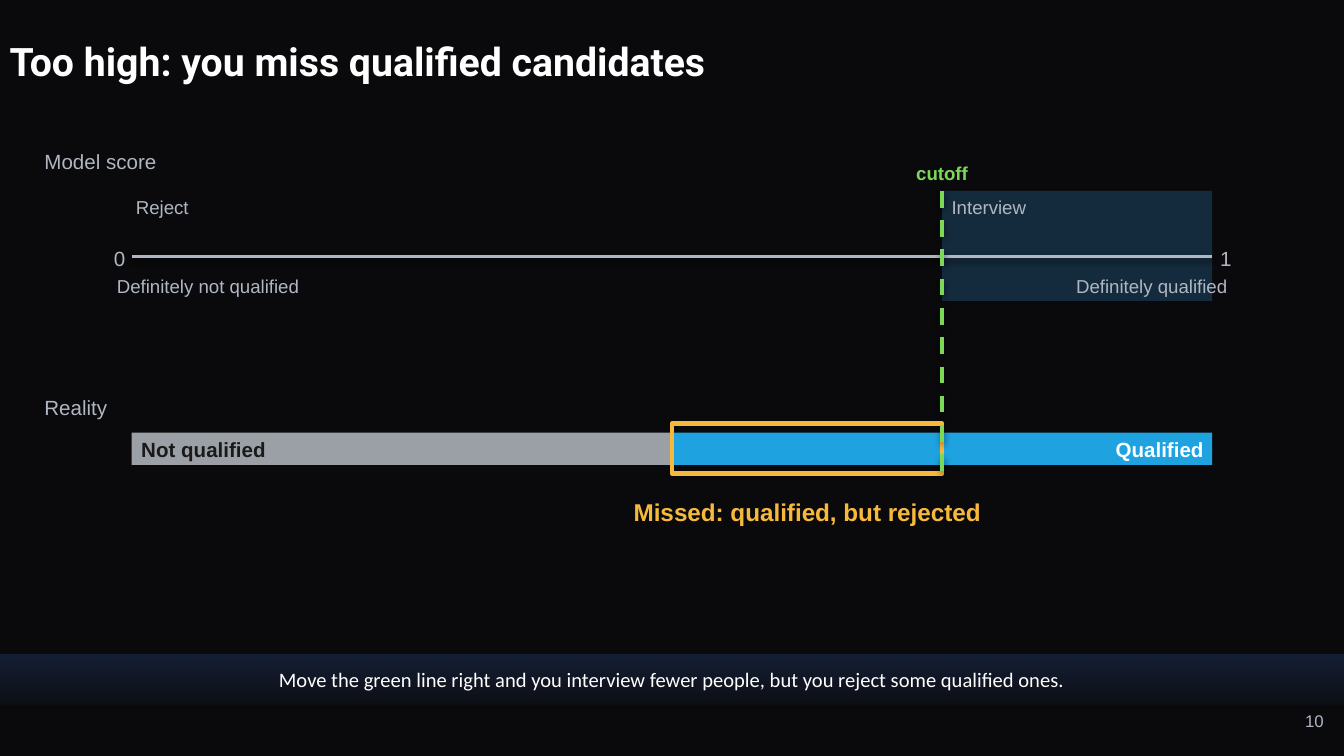
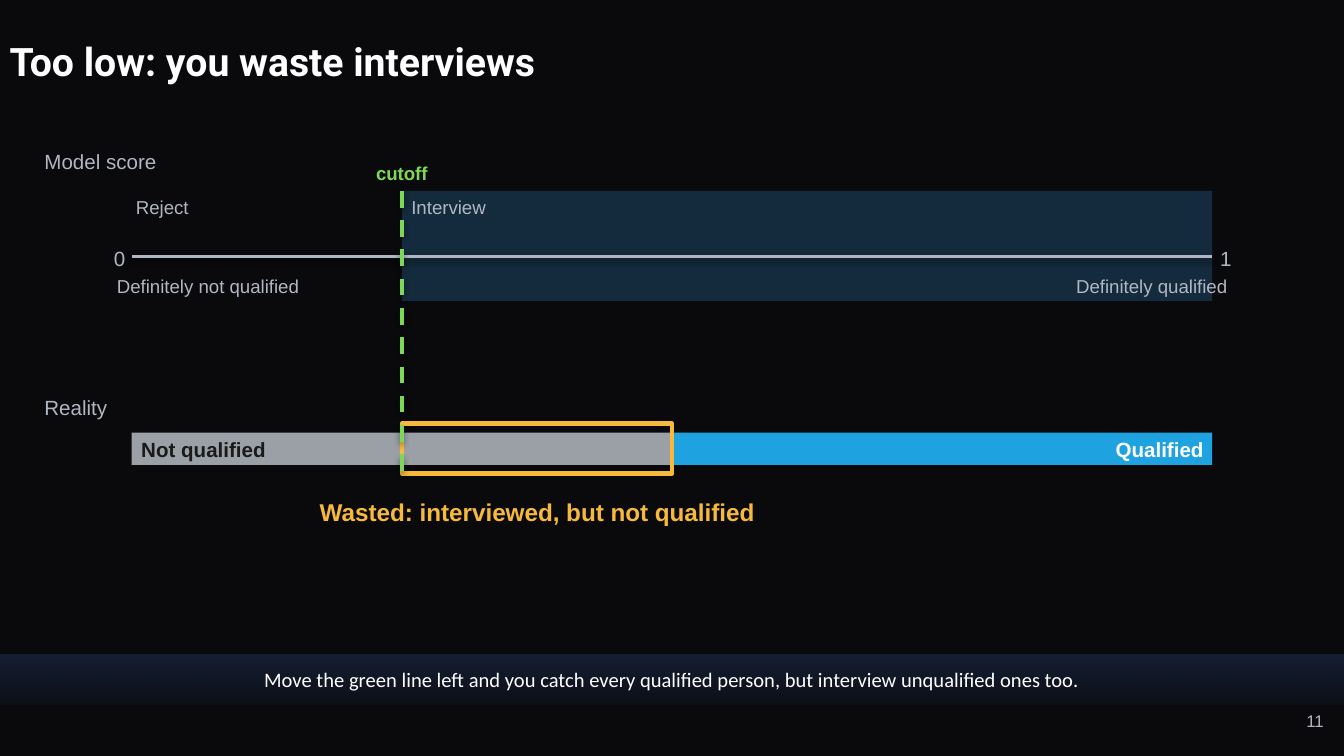
"""Two slides on how the cutoff of a hiring model trades one error for another."""
import collections

import pptx
import pptx.dml.color
import pptx.enum.dml
import pptx.enum.shapes
import pptx.enum.text
import pptx.oxml
import pptx.oxml.ns
import pptx.util

Cm, Pt = pptx.util.Cm, pptx.util.Pt
ALIGN = pptx.enum.text.PP_ALIGN
ANCHOR = pptx.enum.text.MSO_ANCHOR
AUTO_SIZE = pptx.enum.text.MSO_AUTO_SIZE
RECTANGLE = pptx.enum.shapes.MSO_SHAPE.RECTANGLE
STRAIGHT = pptx.enum.shapes.MSO_CONNECTOR.STRAIGHT

COLORS = {
    "background": "0A0A0C",
    "band": "1A2846",
    "white": "FFFFFF",
    "muted": "B0B7C3",
    "interview": "142B3D",
    "unqualified": "9AA0A6",
    "qualified": "1FA2E0",
    "dark": "1A1A1A",
    "error": "F6B93B",
    "cutoff": "7CD957",
}
MARGINS = ("margin_left", "margin_top", "margin_right", "margin_bottom")
LABEL_FRAME = {
    "word_wrap": True,
    "auto_size": AUTO_SIZE.SHAPE_TO_FIT_TEXT,
    "vertical_anchor": ANCHOR.MIDDLE,
    **dict.fromkeys(MARGINS, 0),
}
TITLE_FRAME = {
    "word_wrap": True,
    "auto_size": AUTO_SIZE.NONE,
    "vertical_anchor": ANCHOR.MIDDLE,
    **dict(zip(MARGINS, (Cm(0.18), Cm(0.1)) * 2)),
}
CAPTION_FRAME = {
    "word_wrap": True,
    "vertical_anchor": ANCHOR.MIDDLE,
    **dict.fromkeys(MARGINS, Cm(0.25)),
}
PAGE_FRAME = {**LABEL_FRAME, "word_wrap": False, "vertical_anchor": ANCHOR.TOP}

Box = collections.namedtuple("Box", "left top width height")
Case = collections.namedtuple("Case", "title cutoff error caption page")

SLIDE = Box(0, 0, 25.4, 14.29)
TITLE = Box(0, 0.38, 25.1, 1.65)
SCORE = Box(2.49, 2.77, 20.42, 2.92)
REALITY = Box(2.49, 7.42, 20.42, 2.82)
CAPTION = Box(0, 12.37, 25.4, 0.94)
PAGE = Box(23.62, 13.44, 1.4, 0.61)
SECTION_INDENT = 1.65
QUALIFIED_FROM = 0.5

CASES = (
    Case("Too high: you miss qualified candidates", 0.75,
         "Missed: qualified, but rejected",
         "Move the green line right and you interview fewer people, "
         "but you reject some qualified ones.", 10),
    Case("Too low: you waste interviews", 0.25,
         "Wasted: interviewed, but not qualified",
         "Move the green line left and you catch every qualified person, "
         "but interview unqualified ones too.", 11),
)


def rgb(name):
    """Return the palette colour with the given name."""
    return pptx.dml.color.RGBColor.from_string(COLORS[name])


def assign(target, values):
    """Set each attribute in values on target."""
    for attribute, value in values.items():
        setattr(target, attribute, value)


def write(frame, text, size, color, bold=False, align=ALIGN.LEFT,
          font="Arial", frame_format=LABEL_FRAME):
    """Put one formatted line of text into a text frame."""
    assign(frame, frame_format)
    paragraph = frame.paragraphs[0]
    paragraph.alignment = align
    run = paragraph.add_run()
    run.text = text
    assign(run.font, {"name": font, "size": Pt(size), "bold": bold})
    run.font.color.rgb = rgb(color)


def add_label(slide, box, text, size=10, color="muted", **style):
    """Add a text box holding one label."""
    label = slide.shapes.add_textbox(*map(Cm, box))
    write(label.text_frame, text, size, color, **style)


def add_bar(slide, box, color=None):
    """Add a borderless rectangle, unfilled when no colour is given."""
    bar = slide.shapes.add_shape(RECTANGLE, *map(Cm, box))
    bar.shadow.inherit = False
    bar.line.fill.background()
    if color:
        bar.fill.solid()
        bar.fill.fore_color.rgb = rgb(color)
    else:
        bar.fill.background()
    return bar


def add_line(slide, start, end, color, width):
    """Add a straight line between two points."""
    line = slide.shapes.add_connector(STRAIGHT, *map(Cm, start + end)).line
    line.color.rgb = rgb(color)
    line.width = Pt(width)
    return line


def add_title(slide, box, text):
    """Place and fill the title placeholder."""
    title = slide.shapes.title
    assign(title, dict(zip(box._fields, map(Cm, box))))
    write(title.text_frame, text, 21, "white", bold=True, font="Roboto",
          frame_format=TITLE_FRAME)
    title.text_frame.paragraphs[0].line_spacing = 0.9


def add_caption(slide, box, text):
    """Add the fading band with the takeaway."""
    band = add_bar(slide, box)
    band.fill.gradient()
    band.fill.gradient_angle = 270
    for stop, opacity in zip(band.fill.gradient_stops, (70, 15)):
        stop.color.rgb = rgb("band")
        color = stop._gs.find(pptx.oxml.ns.qn("a:srgbClr"))
        for effect in list(color):
            color.remove(effect)
        color.append(pptx.oxml.parse_xml(
            f'<a:alpha {pptx.oxml.ns.nsdecls("a")} val="{opacity * 1000}"/>'))
    write(band.text_frame, text, 11, "white", align=ALIGN.CENTER,
          font="Calibri", frame_format=CAPTION_FRAME)


def add_score_axis(slide, box, cutoff):
    """Draw the score axis from 0 to 1 with its interview zone."""
    left, top, width, height = box
    right, cut = left + width, left + width * cutoff
    axis, ends = top + 2.08, top + 2.39
    add_bar(slide, Box(cut, top + 0.84, right - cut, height - 0.84), "interview")
    for start, decision in ((cut + 0.18, "Interview"), (left + 0.08, "Reject")):
        add_label(slide, Box(start, top + 0.91, 2.77, 0.48), decision)
    add_label(slide, Box(left - SECTION_INDENT, top, 4.17, 0.56), "Model score", 11)
    add_line(slide, (left, axis), (right, axis), "muted", 1.25)
    add_label(slide, Box(left - 0.53, axis - 0.23, 0.41, 0.51), "0", 11,
              align=ALIGN.RIGHT)
    add_label(slide, Box(right + 0.15, axis - 0.23, 0.41, 0.51), "1", 11)
    add_label(slide, Box(left - 0.28, ends, 5, 0.51), "Definitely not qualified")
    add_label(slide, Box(right - 4.72, ends, 5, 0.51), "Definitely qualified",
              align=ALIGN.RIGHT)


def add_reality(slide, box, cutoff, error):
    """Draw who is truly qualified and frame those judged wrongly."""
    left, top, width, _ = box
    right, bar_top, bar_height = left + width, top + 0.76, 0.61
    split = left + width * QUALIFIED_FROM
    add_label(slide, Box(left - SECTION_INDENT, top, 4.17, 0.56), "Reality", 11)
    add_bar(slide, Box(left, bar_top, split - left, bar_height), "unqualified")
    add_bar(slide, Box(split, bar_top, right - split, bar_height), "qualified")
    add_label(slide, Box(left + 0.18, bar_top, 4.17, bar_height),
              "Not qualified", 11, "dark", bold=True)
    add_label(slide, Box(right - 4.33, bar_top, 4.17, bar_height),
              "Qualified", 11, "white", bold=True, align=ALIGN.RIGHT)
    start, end = (left + width * share for share in sorted((cutoff, QUALIFIED_FROM)))
    wrong = add_bar(slide, Box(start, bar_top - 0.17, end - start, 0.94))
    wrong.line.color.rgb = rgb("error")
    wrong.line.width = Pt(2.5)
    add_label(slide, Box((start + end) / 2 - 5.05, top + 1.7, 10.1, 1.12),
              error, 13, "error", bold=True, align=ALIGN.CENTER)


def add_cutoff(slide, box, cutoff):
    """Draw the dashed cutoff through the score and reality regions."""
    cut = box.left + box.width * cutoff
    line = add_line(slide, (cut, box.top + 0.84), (cut, box.top + 6.25),
                    "cutoff", 2.25)
    line.dash_style = pptx.enum.dml.MSO_LINE.DASH
    add_label(slide, Box(cut - 0.98, box.top + 0.23, 1.96, 0.56), "cutoff",
              color="cutoff", bold=True, align=ALIGN.CENTER)


def add_case(deck, case):
    """Build the slide for one choice of cutoff."""
    slide = deck.slides.add_slide(deck.slide_layouts.get_by_name("Title Only"))
    add_title(slide, TITLE, case.title)
    add_caption(slide, CAPTION, case.caption)
    add_score_axis(slide, SCORE, case.cutoff)
    add_reality(slide, REALITY, case.cutoff, case.error)
    add_cutoff(slide, SCORE, case.cutoff)
    add_label(slide, PAGE, str(case.page), 9, align=ALIGN.RIGHT,
              frame_format=PAGE_FRAME)


def main():
    """Build and save the deck."""
    deck = pptx.Presentation()
    assign(deck, {"slide_width": Cm(SLIDE.width), "slide_height": Cm(SLIDE.height)})
    backdrop = deck.slide_master.background.fill
    backdrop.solid()
    backdrop.fore_color.rgb = rgb("background")
    for case in CASES:
        add_case(deck, case)
    deck.save("out.pptx")


if __name__ == "__main__":
    main()
